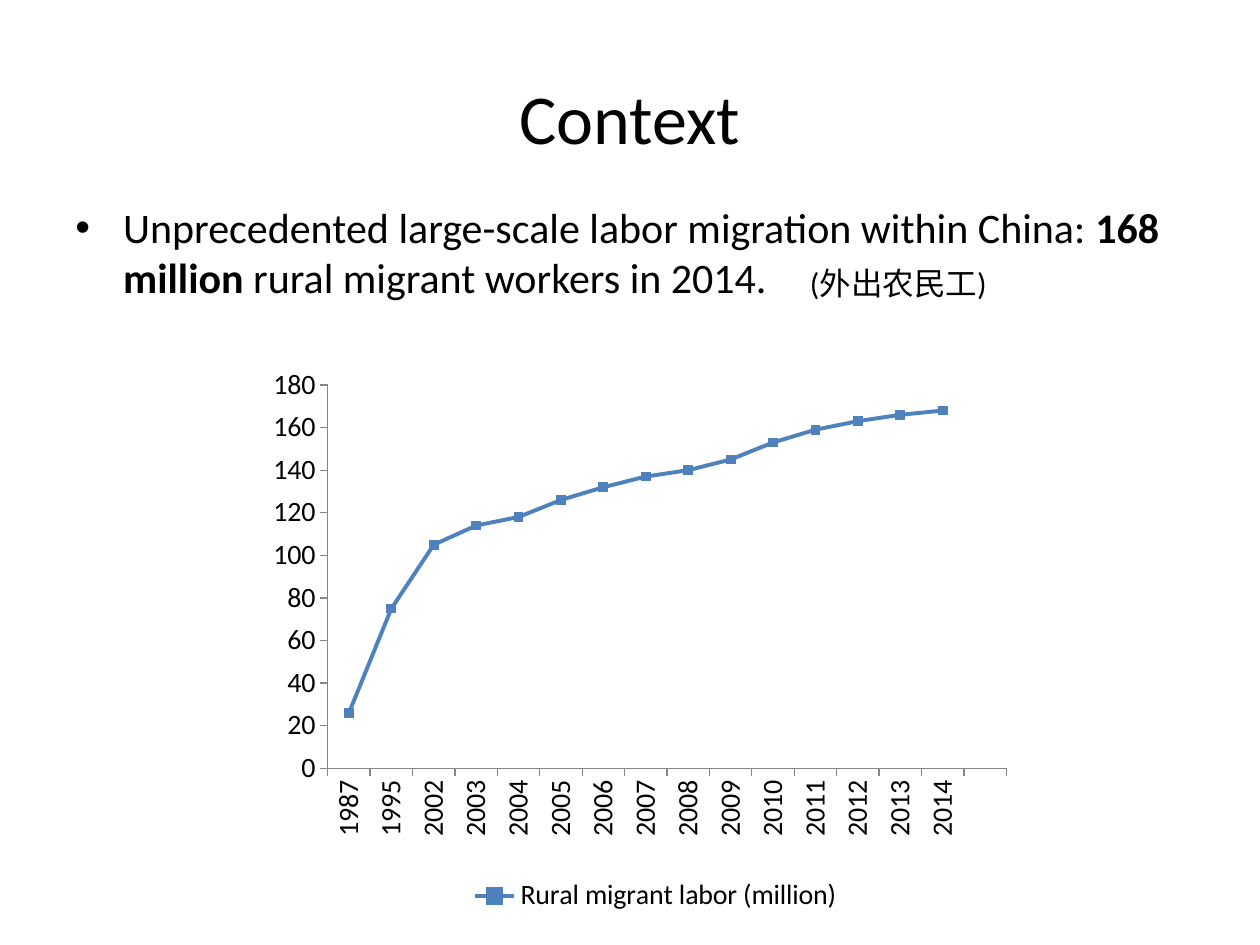
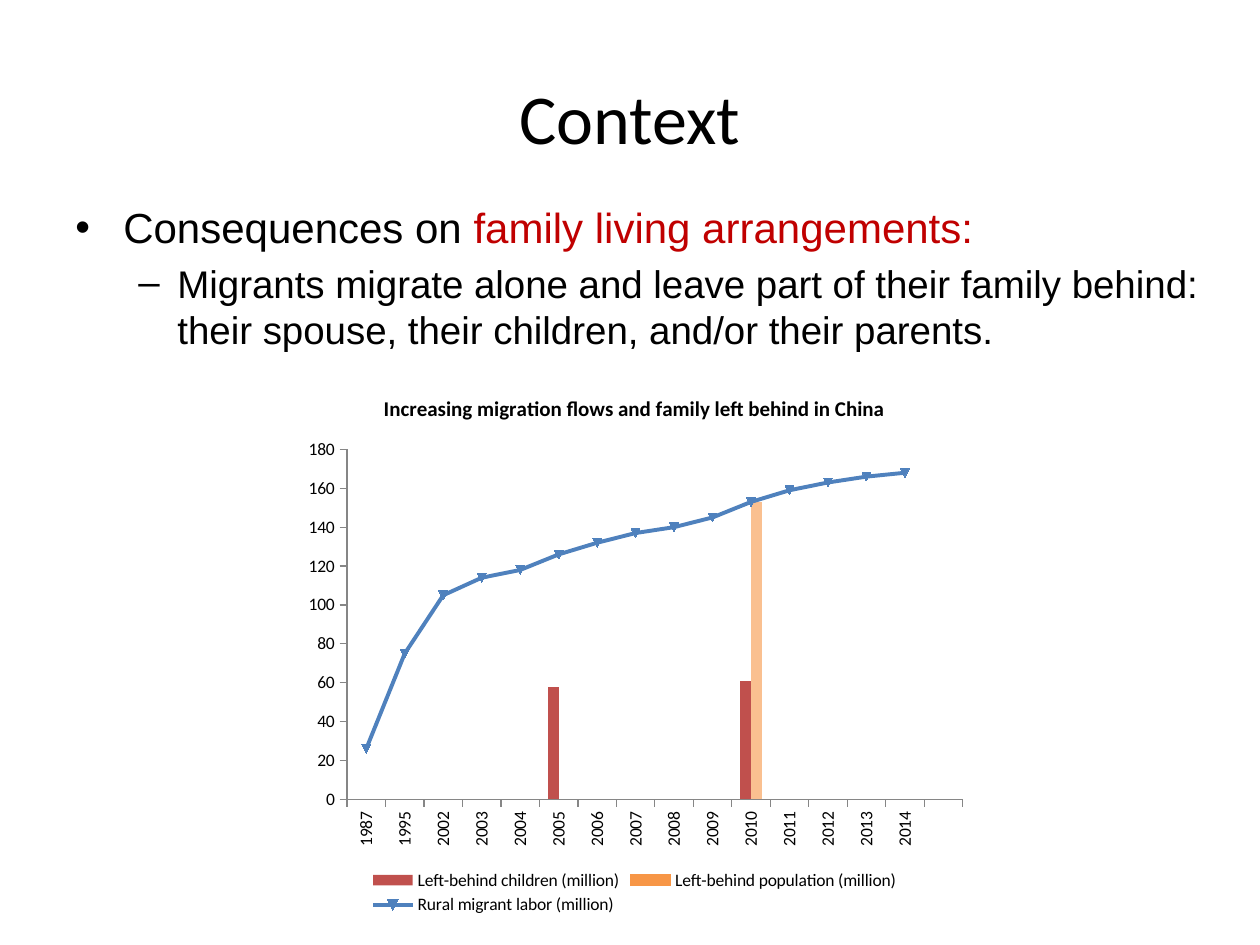
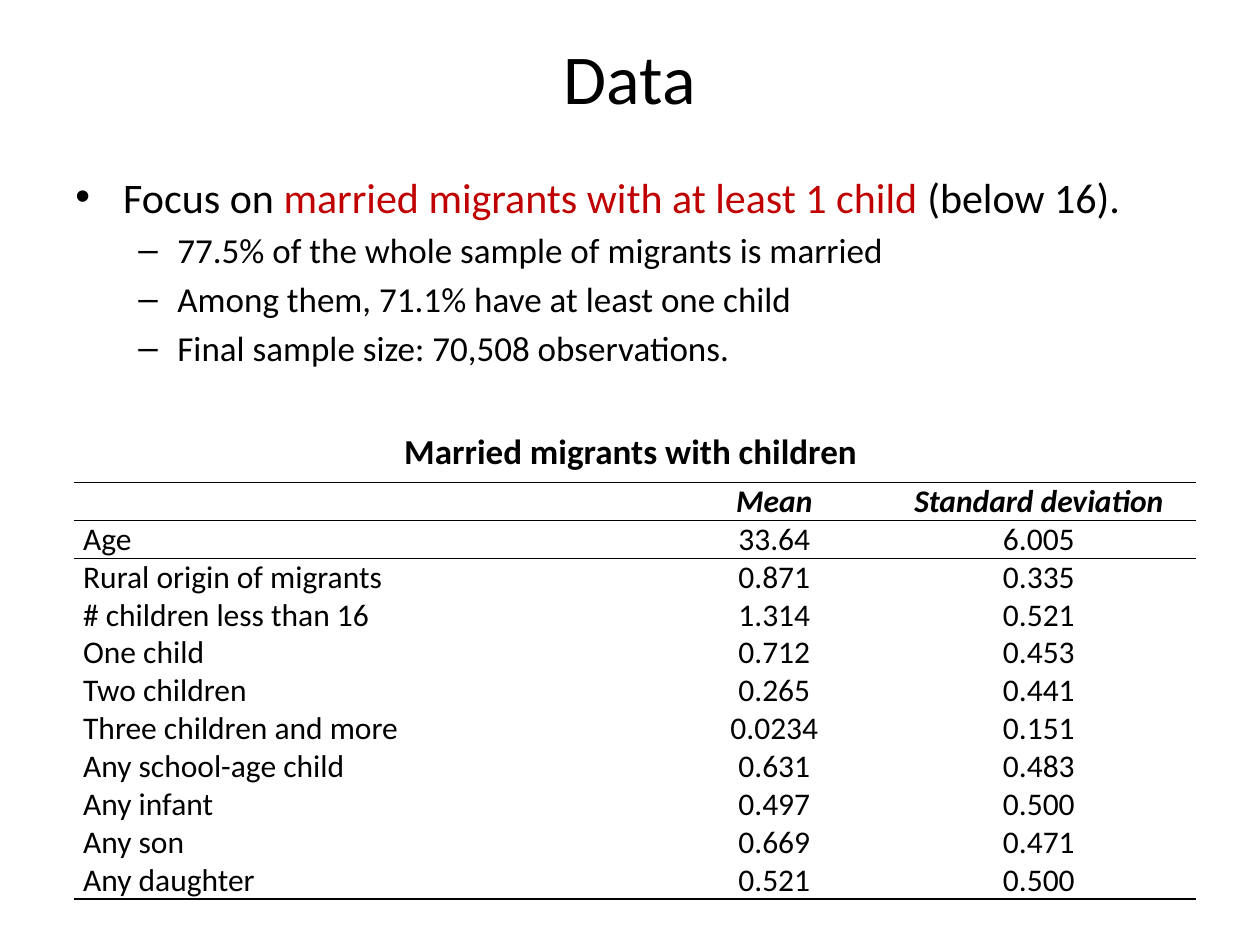
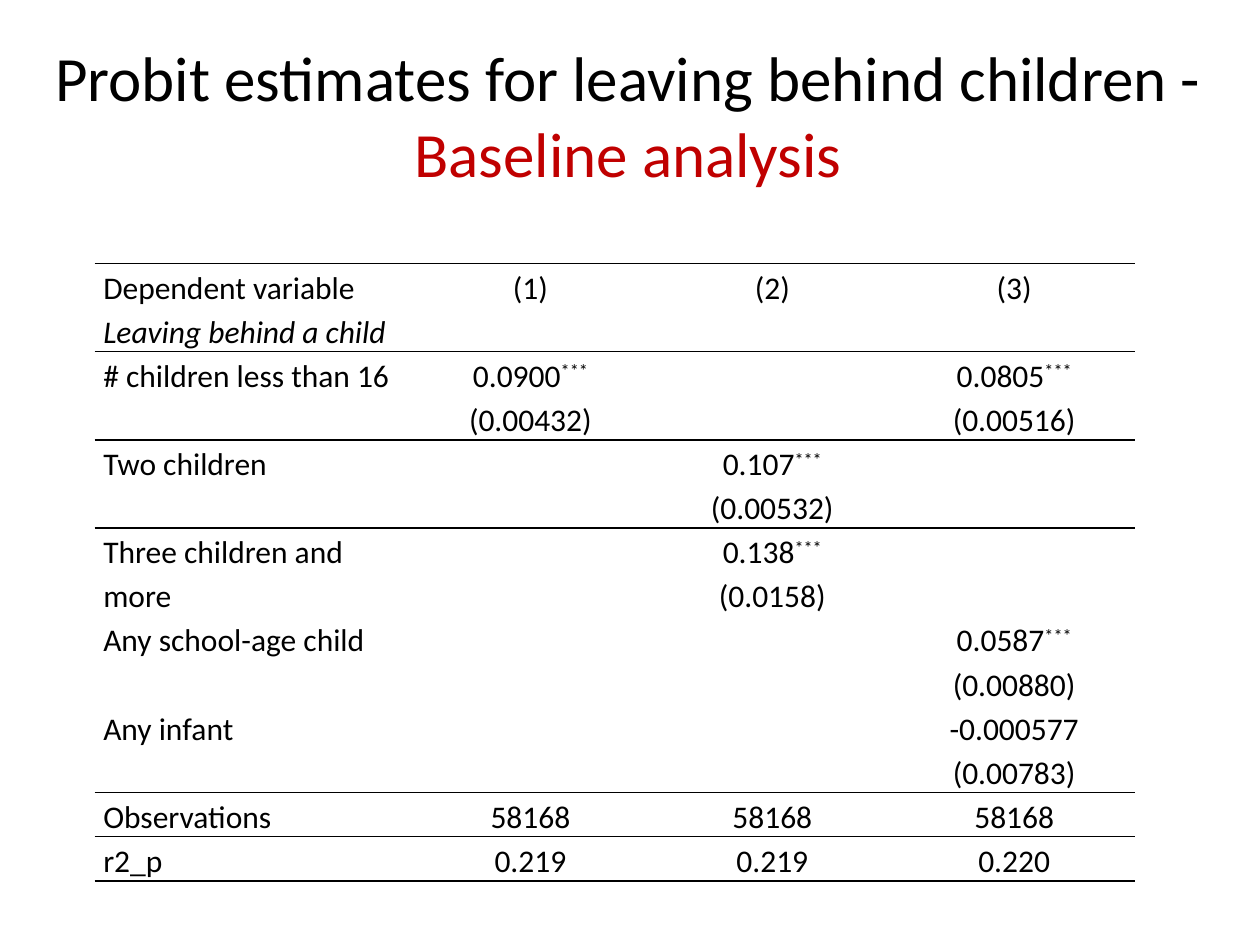
from dataclasses import dataclass

from lxml.etree import SubElement as Sub
from pptx import Presentation
from pptx.chart.data import CategoryChartData as ChartData
from pptx.dml.color import RGBColor as Rgb
from pptx.enum.chart import XL_CHART_TYPE as Kind, XL_LEGEND_POSITION as Spot, XL_TICK_MARK as Tick
from pptx.enum.text import MSO_ANCHOR as Anchor, PP_ALIGN as Align
from pptx.oxml import parse_xml
from pptx.oxml.ns import nsdecls, qn
from pptx.util import Emu, Inches, Pt


@dataclass(frozen=True)
class Theme:
    font: str = "Calibri"
    alt: str = "Arial"
    ink: str = "000000"
    red: str = "C00000"
    paper: str = "FFFFFF"
    axis: str = "868686"
    blue: str = "4F81BD"
    brick: str = "C0504D"
    orange: str = "F79646"
    peach: str = "FAC090"
    title: int = 40
    long: int = 36
    body: int = 24
    sub: int = 22
    small: int = 20
    cell: int = 18
    rule: int = 1


T = Theme()
PLAIN = "{2D5ABB26-0587-4C30-8999-92F81FD0307C}"  # table style without grid

# Content. A paragraph is a list of pieces: text, or (text, style).
TREND = [
    "Unprecedented large-scale labor migration within China: ",
    ("168 million ", "bold"),
    "rural migrant workers in 2014.",
]
CHINESE = ["(外出农民工)"]
FAMILY = ["Consequences on ", ("family living arrangements:", "red")]
ALONE = [
    "Migrants migrate alone and leave part of their family behind: "
    "their spouse, their children, and/or their parents."
]
FOCUS = ["Focus on ", ("married migrants with at least 1 child ", "red"), "(below 16)."]
SAMPLE = [
    "77.5% of the whole sample of migrants is married",
    "Among them, 71.1% have at least one child",
    "Final sample size: 70,508 observations.",
]
PROBIT = ["Probit estimates for leaving behind children - ", ("Baseline analysis", "red")]

YEARS = ["1987", "1995", *map(str, range(2002, 2015)), ""]
LABOR = {"1987": 26, "1995": 75, "2002": 105, "2003": 114, "2004": 118,
         "2005": 126, "2006": 132, "2007": 137, "2008": 140, "2009": 145,
         "2010": 153, "2011": 159, "2012": 163, "2013": 166, "2014": 168}
MOVERS = {"Rural migrant labor (million)": LABOR}
BEHIND = {
    "Left-behind children (million)": {"2005": 58, "2010": 61},
    "Left-behind population (million)": {"2010": 153},
}
FLOWS = "Increasing migration flows and family left behind in China"

STATS = [
    ("", ("Mean", "head"), ("Standard deviation", "head")),
    ("Age", "33.64", "6.005"),
    ("Rural origin of migrants", "0.871", "0.335"),
    ("# children less than 16", "1.314", "0.521"),
    ("One child", "0.712", "0.453"),
    ("Two children", "0.265", "0.441"),
    ("Three children and more", "0.0234", "0.151"),
    ("Any school-age child", "0.631", "0.483"),
    ("Any infant", "0.497", "0.500"),
    ("Any son", "0.669", "0.471"),
    ("Any daughter", "0.521", "0.500"),
]


def est(coef, error):
    """Starred estimate with its standard error on the next line."""
    return [coef, ("***", "sup"), "\n", error]


MODELS = [
    ("Dependent variable", "(1)", "(2)", "(3)"),
    (("Leaving behind a child", "italic"), "", "", ""),
    ("# children less than 16", est("0.0900", "(0.00432)"), "", est("0.0805", "(0.00516)")),
    ("Two children", "", est("0.107", "(0.00532)"), ""),
    ("Three children and more", "", est("0.138", "(0.0158)"), ""),
    ("Any school-age child", "", "", est("0.0587", "(0.00880)")),
    ("Any infant", "", "", ["-0.000577", "\n", "(0.00783)"]),
    ("Observations", "58168", "58168", "58168"),
    ("r2_p", "0.219", "0.219", "0.220"),
]


def color(code):
    return Rgb.from_string(code)


def write(par, pieces, size, font=T.font):
    for piece in pieces:
        text, style = piece if isinstance(piece, tuple) else (piece, "")
        if text == "\n":
            par.add_line_break()
            continue
        run = par.add_run()
        run.text = text
        face = run.font
        face.size, face.name = Pt(size), font
        face.color.rgb = color(T.red if style == "red" else T.ink)
        if style in ("bold", "head"):
            face.bold = True
        if style in ("italic", "head"):
            face.italic = True
        if style == "sup":
            run._r.get_or_add_rPr().set("baseline", "30000")


def box(slide, at, anchor=Anchor.TOP):
    frame = slide.shapes.add_textbox(*map(Inches, at)).text_frame
    frame.word_wrap = True
    frame.vertical_anchor = anchor
    return frame


def label(slide, at, pieces, size):
    write(box(slide, at).paragraphs[0], pieces, size)


def title(slide, pieces, at=(0.5, 0.3, 9, 1.25), size=T.title):
    par = box(slide, at, Anchor.MIDDLE).paragraphs[0]
    par.alignment = Align.CENTER
    write(par, pieces, size)


def body(slide, at, items, font=T.font):
    """Bulleted text; each item is (level, size, pieces)."""
    frame = box(slide, at)
    for i, (level, size, pieces) in enumerate(items):
        par = frame.add_paragraph() if i else frame.paragraphs[0]
        par.level = level
        par.space_before = Pt(size * 0.2)
        left, hang, mark = ((0.38, 0.38, "•"), (0.81, 0.31, "–"))[level]
        props = par._p.get_or_add_pPr()
        props.set("marL", str(Inches(left)))
        props.set("indent", str(-Inches(hang)))
        Sub(props, qn("a:buFont")).set("typeface", T.alt)
        Sub(props, qn("a:buChar")).set("char", mark)
        write(par, pieces, size, font)


def border(cell, side):
    line = Sub(cell._tc.get_or_add_tcPr(), qn("a:" + side), w=str(Pt(T.rule)))
    Sub(Sub(line, qn("a:solidFill")), qn("a:srgbClr")).set("val", T.ink)


def table(slide, spot, rows, widths, heights, rules, fill=None, space=None):
    """Table with a line above the first row and below each row in rules."""
    size = sum(widths), sum(heights)
    grid = slide.shapes.add_table(
        len(rows), len(widths), *map(Inches, (*spot, *size))).table
    grid.first_row = grid.horz_banding = False
    grid._tbl.tblPr.find(qn("a:tableStyleId")).text = PLAIN
    for col, width in zip(grid.columns, widths):
        col.width = Inches(width)
    for r, row in enumerate(rows):
        grid.rows[r].height = Inches(heights[r])
        for c, item in enumerate(row):
            cell = grid.cell(r, c)
            cell.margin_left = cell.margin_right = Inches(0.07)
            cell.margin_top = cell.margin_bottom = Emu(0)
            if r == 0 or r - 1 in rules:
                border(cell, "lnT")
            if r in rules:
                border(cell, "lnB")
            if fill:
                cell.fill.solid()
                cell.fill.fore_color.rgb = color(fill)
            else:
                cell.fill.background()
            par = cell.text_frame.paragraphs[0]
            par.alignment = Align.CENTER if c else Align.LEFT
            if space:
                par.line_spacing = space
            if item:
                write(par, item if isinstance(item, list) else [item], T.cell)


def chart(slide, at, kind, series, size, plot):
    """Chart over YEARS whose inner plot area is given in parts of the whole."""
    data = ChartData()
    data.categories = YEARS
    for name, vals in series.items():
        data.add_series(name, [vals.get(year) for year in YEARS])
    graph = slide.shapes.add_chart(kind, *map(Inches, at), data).chart
    graph.font.size, graph.font.name = Pt(size), T.font
    graph.font.color.rgb = color(T.ink)
    graph.has_title = False
    graph.has_legend = True
    graph.legend.position = Spot.BOTTOM
    graph.legend.include_in_layout = False
    for axis in (graph.category_axis, graph.value_axis):
        axis.has_major_gridlines = False
        axis.major_tick_mark, axis.minor_tick_mark = Tick.OUTSIDE, Tick.NONE
        axis.format.line.color.rgb = color(T.axis)
        face = axis.tick_labels.font
        face.size, face.name = Pt(size), T.font
        face.color.rgb = color(T.ink)
    turn = graph.category_axis._element.find(qn("c:txPr")).find(qn("a:bodyPr"))
    turn.set("rot", "-5400000")
    turn.set("vert", "horz")
    scale = graph.value_axis
    scale.minimum_scale, scale.maximum_scale, scale.major_unit = 0, 180, 20

    area = graph._chartSpace.chart.plotArea
    for old in area.findall(qn("c:layout")):
        area.remove(old)
    layout = parse_xml(f"<c:layout {nsdecls('c')}/>")
    manual = Sub(layout, qn("c:manualLayout"))
    parts = [("layoutTarget", "inner"), ("xMode", "edge"), ("yMode", "edge"), *zip("xywh", plot)]
    for tag, val in parts:
        Sub(manual, qn("c:" + tag)).set("val", str(val))
    area.insert(0, layout)
    return graph


def trace(series):
    series.smooth = False
    series.format.line.color.rgb = color(T.blue)
    series.format.line.width = Pt(2.25)
    series.marker.format.fill.solid()
    series.marker.format.fill.fore_color.rgb = color(T.blue)
    series.marker.format.line.color.rgb = color(T.blue)


def overlay(graph):
    """Turn the last column series into a line on the same axes."""
    bars = graph._chartSpace.chart.plotArea.find(qn("c:barChart"))
    ser = bars.findall(qn("c:ser"))[-1]
    flag = ser.find(qn("c:invertIfNegative"))
    if flag is not None:
        ser.remove(flag)
    lines = parse_xml(
        f'<c:lineChart {nsdecls("c")}><c:grouping val="standard"/>'
        '<c:varyColors val="0"/></c:lineChart>')
    lines.append(ser)
    Sub(lines, qn("c:marker")).set("val", "1")
    for axis in bars.findall(qn("c:axId")):
        Sub(lines, qn("c:axId")).set("val", axis.get("val"))
    bars.addnext(lines)


def trend(slide):
    title(slide, ["Context"])
    body(slide, (0.5, 1.55, 9, 4.77), [(0, T.body, TREND)])
    graph = chart(slide, (2.17, 2.88, 6.06, 4.41), Kind.LINE_MARKERS, MOVERS,
                  16, (0.07, 0.04, 0.89, 0.69))
    graph.plots[0].vary_by_categories = False
    trace(graph.plots[0].series[0])
    label(slide, (6.33, 2.05, 1.62, 0.4), CHINESE, T.cell)


def family(slide):
    title(slide, ["Context"])
    body(slide, (0.5, 1.55, 9.15, 5.76),
         [(0, T.body, FAMILY), (1, T.sub, ALONE)], T.alt)
    graph = chart(slide, (2.32, 2.96, 5.43, 4.34), Kind.COLUMN_CLUSTERED,
                  BEHIND | MOVERS, 10, (0.08, 0.14, 0.9, 0.64))
    graph.has_title = True
    head = graph.chart_title.text_frame
    head.text = FLOWS
    face = head.paragraphs[0].runs[0].font
    face.size, face.name, face.bold = Pt(12), T.font, True
    face.color.rgb = color(T.ink)
    overlay(graph)
    bars, lines = graph.plots
    bars.vary_by_categories = False
    bars.gap_width, bars.overlap = 150, 0
    for series, code in zip(bars.series, (T.brick, T.orange)):
        series.format.fill.solid()
        series.format.fill.fore_color.rgb = color(code)
    people = bars.series[1]
    people.format.line.color.rgb = color(T.orange)
    people.format.line.width = Pt(0.75)
    point = people.points[YEARS.index("2010")].format
    point.fill.solid()
    point.fill.fore_color.rgb = color(T.peach)
    point.line.fill.background()
    trace(lines.series[0])


def sample(slide):
    body(slide, (0.5, 1.31, 9, 5.98),
         [(0, T.body, FOCUS)] + [(1, T.small, [text]) for text in SAMPLE])
    title(slide, ["Data"], (0.5, 0.3, 9, 0.61))
    table(slide, (0.59, 3.83), STATS, (4.7, 1.71, 2.49), [0.3] * len(STATS),
          {0, len(STATS) - 1}, fill=T.paper)
    label(slide, (3.11, 3.36, 3.94, 0.44),
          [("Married migrants with children", "bold")], T.small)


def probit(slide):
    heights = [0.7 if any(isinstance(item, list) for item in row) else 0.35
               for row in MODELS]
    table(slide, (0.75, 2.09), MODELS, (2.5, 1.92, 1.92, 1.92), heights,
          {1, 2, 6, 7, 8}, space=1.15)
    title(slide, PROBIT, (0.33, 0.25, 9.31, 1.31), T.long)


def main():
    deck = Presentation()
    deck.slide_width, deck.slide_height = Inches(10), Inches(7.5)
    for build in (trend, family, sample, probit):
        build(deck.slides.add_slide(deck.slide_layouts[6]))
    deck.save("out.pptx")


if __name__ == "__main__":
    main()
